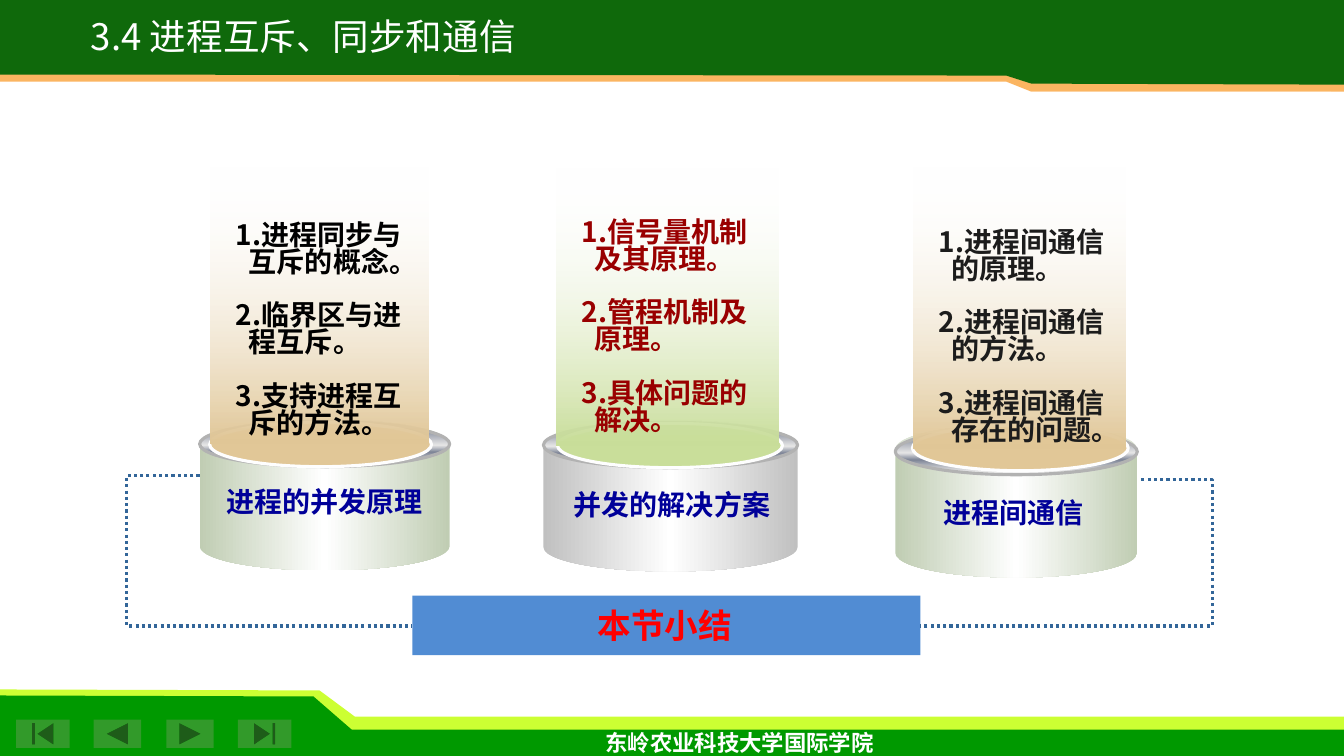
from dataclasses import dataclass

from pptx import Presentation
from pptx.dml.color import RGBColor
from pptx.enum.dml import MSO_LINE
from pptx.enum.shapes import MSO_CONNECTOR, MSO_SHAPE
from pptx.enum.text import PP_ALIGN
from pptx.oxml import parse_xml
from pptx.oxml.ns import nsdecls, qn
from pptx.shapes.autoshape import Shape
from pptx.util import Inches, Pt

CAN, ELLIPSE, RECTANGLE = MSO_SHAPE.CAN, MSO_SHAPE.OVAL, MSO_SHAPE.RECTANGLE
ELBOW = MSO_CONNECTOR.ELBOW
DOTS = MSO_LINE.ROUND_DOT
LEFT, CENTER = PP_ALIGN.LEFT, PP_ALIGN.CENTER

COLORS = {
    "lime": "CCFF33", "green": "009900", "button": "329A2A", "orange": "FBB561",
    "dark green": "0F690B", "white": "FFFFFF", "blue": "518CD3", "dots": "336699",
    "red": "FF0000", "navy": "000099", "sage": "C0CDB3", "silver": "C0C0C0",
    "sand": "E1C797", "leaf": "C9DE9A", "black": "000000", "maroon": "990000",
    "charcoal": "1C1C1C", "rim": "B2B2B2", "disc": "FEFEFE", "light": "E6E6E6",
    "steel": "7D8496",
}

Area = tuple[float, float, float, float]
Point = tuple[float, float]
Stop = tuple[int, str, int]

RIM_STOPS = [(0, "light", 100), (15, "steel", 100), (53, "light", 100),
             (68, "steel", 100), (93, "light", 100), (100, "white", 100)]


@dataclass(frozen=True)
class Band:
    color: str
    points: list[Point]
    opacity: int = 100


@dataclass(frozen=True)
class Style:
    size: float
    color: str
    font: str = "Arial"
    bold: bool = True
    align: PP_ALIGN = CENTER
    wrap: bool = True
    spacing: float = 1.0


@dataclass(frozen=True)
class Pillar:
    drum: Area
    rim: Area
    disc: Area
    beam: Area
    list_area: Area
    caption_area: Area
    drum_color: str
    beam_color: str
    text_color: str
    caption: str
    items: list[str]


@dataclass(frozen=True)
class Link:
    start: Point
    end: Point
    bend: int


BANDS = [
    Band("lime", [(0, 7.4), (13.33, 7.4), (13.33, 7.11), (3.52, 7.11), (3.17, 6.85), (0, 6.84)]),
    Band("green", [(0, 7.53), (13.33, 7.51), (13.33, 7.24), (3.49, 7.24), (3.11, 6.91), (0, 6.9)]),
    Band("orange", [(13.33, -0.03), (0, -0.03), (0, 0.81), (9.98, 0.81), (10.23, 0.91), (13.33, 0.91)]),
    Band("dark green", [(13.33, -0.03), (0, -0.03), (0, 0.74), (9.98, 0.75), (10.23, 0.83), (13.33, 0.84)]),
    Band("white", [(10.06, 0.91), (13.2, 0.91), (13.19, 0.96), (10.19, 0.97)], 30),
]

BUTTONS = [
    (MSO_SHAPE.ACTION_BUTTON_BEGINNING, 0.16, 0.53),
    (MSO_SHAPE.ACTION_BUTTON_BACK_OR_PREVIOUS, 0.93, 0.47),
    (MSO_SHAPE.ACTION_BUTTON_FORWARD_OR_NEXT, 1.65, 0.47),
    (MSO_SHAPE.ACTION_BUTTON_END, 2.36, 0.53),
]

PILLARS = [
    Pillar((1.98, 4.16, 2.48, 1.5), (1.98, 4.18, 2.48, 0.45), (2.08, 4.19, 2.2, 0.44),
           (2.09, 1.64, 2.16, 2.76), (2.24, 2.17, 2.05, 2.79), (2.08, 4.76, 2.28, 0.44),
           "sage", "sand", "black", "进程的并发原理",
           ["进程同步与互斥的概念。", "临界区与进程互斥。", "支持进程互斥的方法。"]),
    Pillar((5.39, 4.17, 2.52, 1.5), (5.39, 4.19, 2.52, 0.45), (5.53, 4.2, 2.23, 0.44),
           (5.52, 1.66, 2.2, 2.76), (5.67, 2.14, 2.1, 2.25), (5.17, 4.79, 2.99, 0.44),
           "silver", "leaf", "maroon", "并发的解决方案",
           ["信号量机制及其原理。", "管程机制及原理。", "具体问题的解决。"]),
    Pillar((8.88, 4.21, 2.4, 1.52), (8.88, 4.25, 2.4, 0.46), (9.05, 4.22, 2.14, 0.45),
           (9.06, 1.65, 2.1, 2.8), (9.21, 2.24, 2.01, 2.25), (8.66, 4.87, 2.79, 0.44),
           "sage", "sand", "charcoal", "进程间通信",
           ["进程间通信的原理。", "进程间通信的方法。", "进程间通信存在的问题。"]),
]

LINKS = [Link((1.98, 4.72), (4.09, 6.21), -34300), Link((11.32, 4.76), (9.13, 6.21), -32100)]


def rgb(color: str) -> RGBColor:
    return RGBColor.from_string(COLORS[color])


def fill_solid(shape: Shape, color: str) -> None:
    shape.shadow.inherit = False
    shape.fill.solid()
    shape.fill.fore_color.rgb = rgb(color)
    shape.line.fill.background()


def fill_gradient(shape: Shape, stops: list[Stop], degrees: int) -> None:
    marks = "".join(
        f'<a:gs pos="{place * 1000}"><a:srgbClr val="{COLORS[color]}">'
        f'<a:alpha val="{opacity * 1000}"/></a:srgbClr></a:gs>'
        for place, color, opacity in stops)
    gradient = parse_xml(
        f'<a:gradFill {nsdecls("a")} rotWithShape="1"><a:gsLst>{marks}</a:gsLst>'
        f'<a:lin ang="{degrees * 60000}" scaled="0"/></a:gradFill>')
    properties = shape._element.spPr
    properties.replace(properties.find(qn("a:solidFill")), gradient)


def add_preset(preset: MSO_SHAPE, area: Area, color: str, outline: str = "") -> Shape:
    shape = page.shapes.add_shape(preset, *map(Inches, area))
    fill_solid(shape, color)
    if outline:
        shape.line.color.rgb = rgb(outline)
        shape.line.width = Pt(2.25)
    return shape


def add_band(band: Band) -> None:
    start, *others = [(Inches(x), Inches(y)) for x, y in band.points]
    builder = page.shapes.build_freeform(*start)
    builder.add_line_segments(others, close=True)
    shape = builder.convert_to_shape()
    fill_solid(shape, band.color)
    if band.opacity < 100:
        tint = shape._element.spPr.find(qn("a:solidFill"))[0]
        tint.append(parse_xml(f'<a:alpha {nsdecls("a")} val="{band.opacity * 1000}"/>'))


def add_text(area: Area, lines: list[str], style: Style, numbered: bool = False) -> None:
    box = page.shapes.add_textbox(*map(Inches, area))
    frame = box.text_frame
    frame.word_wrap = style.wrap
    for index, line in enumerate(lines):
        para = frame.add_paragraph() if index else frame.paragraphs[0]
        para.alignment = style.align
        para.line_spacing = style.spacing
        if numbered:
            para.space_after = Pt(19.2)
            properties = para._p.get_or_add_pPr()
            properties.set("marL", str(Inches(0.13)))
            properties.set("indent", str(-Inches(0.13)))
            properties.append(parse_xml(f'<a:buAutoNum {nsdecls("a")} type="arabicPeriod"/>'))
        span = para.add_run()
        span.text = line
        span.font.size = Pt(style.size)
        span.font.name = style.font
        span.font.bold = style.bold
        span.font.color.rgb = rgb(style.color)


def add_pillar(pillar: Pillar) -> None:
    drum = add_preset(CAN, pillar.drum, pillar.drum_color)
    drum.adjustments[0] = 0.32
    fill_gradient(drum, [(0, pillar.drum_color, 100), (50, "white", 100),
                         (100, pillar.drum_color, 100)], 0)
    rim = add_preset(ELLIPSE, pillar.rim, "light", "rim")
    fill_gradient(rim, RIM_STOPS, 90)
    add_preset(ELLIPSE, pillar.disc, pillar.beam_color, "disc")
    beam = add_preset(RECTANGLE, pillar.beam, pillar.beam_color)
    fill_gradient(beam, [(0, "white", 0), (100, pillar.beam_color, 100)], 90)
    add_text(pillar.list_area, pillar.items,
             Style(20, pillar.text_color, align=LEFT, spacing=0.8), numbered=True)
    add_text(pillar.caption_area, [pillar.caption], Style(20, "navy"))


def add_link(link: Link) -> None:
    connector = page.shapes.add_connector(ELBOW, *map(Inches, link.start + link.end))
    connector.line.color.rgb = rgb("dots")
    connector.line.width = Pt(2.25)
    connector.line.dash_style = DOTS
    properties = connector._element.spPr
    properties.append(parse_xml(f'<a:effectLst {nsdecls("a")}/>'))
    guides = properties.find(qn("a:prstGeom")).find(qn("a:avLst"))
    guides.append(parse_xml(f'<a:gd {nsdecls("a")} name="adj1" fmla="val {link.bend}"/>'))


deck = Presentation()
deck.slide_width, deck.slide_height = Inches(13.33), Inches(7.5)
page = deck.slides.add_slide(deck.slide_layouts[6])

for band in BANDS:
    add_band(band)
for preset, left, width in BUTTONS:
    add_preset(preset, (left, 7.14, width, 0.28), "button")
add_text((5.89, 7.18, 2.89, 0.37), ["东岭农业科技大学国际学院"],
         Style(16, "white", font="Open Sans", wrap=False))
add_preset(RECTANGLE, (4.09, 5.91, 5.04, 0.59), "blue")
for link in LINKS:
    add_link(link)
add_text((4.7, 5.95, 3.79, 0.5), ["本节小结"], Style(24, "red"))
for pillar in PILLARS:
    add_pillar(pillar)
add_text((0.45, 0.17, 5.12, 0.46), ["3.4 进程互斥、同步和通信"],
         Style(26.1, "white", font="Noto Sans CJK SC", bold=False, wrap=False, spacing=0.8))

deck.save("out.pptx")
